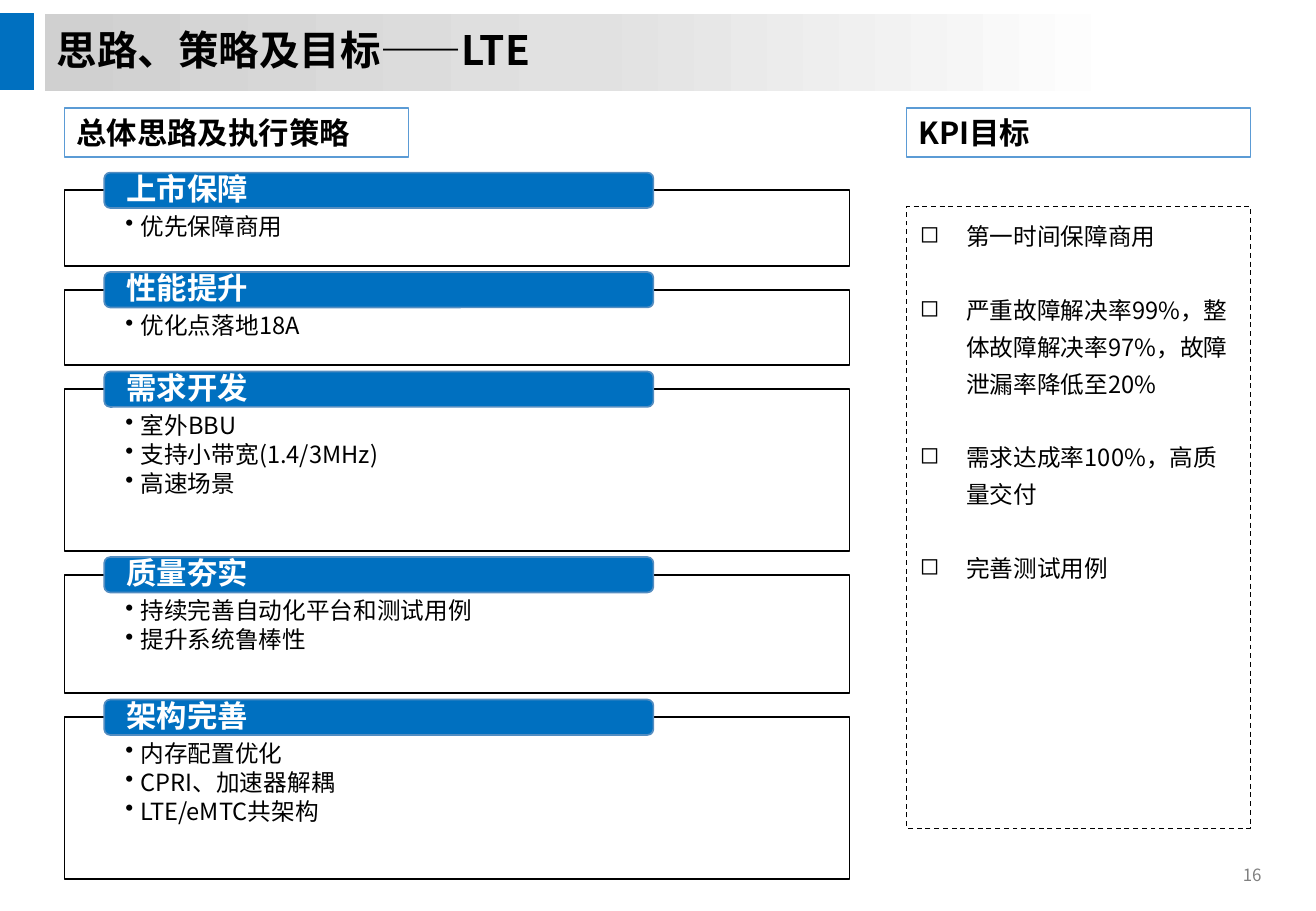
from copy import deepcopy

from lxml import etree
from pptx import Presentation
from pptx.dml.color import RGBColor
from pptx.enum.dml import MSO_LINE
from pptx.enum.shapes import MSO_SHAPE
from pptx.enum.text import MSO_ANCHOR, MSO_AUTO_SIZE, PP_ALIGN
from pptx.oxml.ns import qn
from pptx.util import Cm, Pt

RECTANGLE = MSO_SHAPE.RECTANGLE
ROUNDED = MSO_SHAPE.ROUNDED_RECTANGLE
DASH = MSO_LINE.DASH
TOP = MSO_ANCHOR.TOP
MIDDLE = MSO_ANCHOR.MIDDLE
LEFT = PP_ALIGN.LEFT
NO_AUTOFIT = MSO_AUTO_SIZE.NONE

FONT = "Noto Sans CJK SC"
COLORS = {
    "black": "000000",
    "white": "FFFFFF",
    "blue": "0070C0",
    "tab_edge": "538DC1",
    "heading_edge": "5B9BD5",
    "number": "808080",
}
TITLE_GRADIENT = [(0, "D0D0D0"), (0.5, "E1E1E1"), (1, "FFFFFF")]

STRATEGIES = [
    ("上市保障", ["优先保障商用"]),
    ("性能提升", ["优化点落地18A"]),
    ("需求开发", ["室外BBU", "支持小带宽(1.4/3MHz)", "高速场景"]),
    ("质量夯实", ["持续完善自动化平台和测试用例", "提升系统鲁棒性"]),
    ("架构完善", ["内存配置优化", "CPRI、加速器解耦", "LTE/eMTC共架构"]),
]
TARGETS = [
    "第一时间保障商用",
    "严重故障解决率99%，整体故障解决率97%，故障泄漏率降低至20%",
    "需求达成率100%，高质量交付",
    "完善测试用例",
]

STRATEGY_LEFT = 1.35
TARGET_LEFT = 18.95
COLUMN_WIDTH = 7.19
PANEL_TOP = 3.98
PANEL_GAP = 0.5
PANEL_BASE = 0.68
BULLET_HEIGHT = 0.9
TAB_HEIGHT = 0.74


def write_text(shape, lines, size=14, color="black", bold=False, anchor=TOP, insets=(0.25, 0.13),
               line_spacing=1.0, space_after=0, bullet=None, indent=0, wrap=True):
    frame = shape.text_frame
    frame.word_wrap = wrap
    frame.auto_size = NO_AUTOFIT
    frame.vertical_anchor = anchor
    frame.margin_left = frame.margin_right = Cm(insets[0])
    frame.margin_top = frame.margin_bottom = Cm(insets[1])
    for index, line in enumerate(lines):
        paragraph = frame.paragraphs[0] if index == 0 else frame.add_paragraph()
        paragraph.alignment = LEFT
        paragraph.line_spacing = line_spacing
        paragraph.space_before = Pt(0)
        paragraph.space_after = Pt(space_after)
        if bullet:
            properties = paragraph._p.get_or_add_pPr()
            properties.set("marL", str(Cm(indent)))
            properties.set("indent", str(-Cm(indent)))
            etree.SubElement(properties, qn("a:buChar")).set("char", bullet)
        run = paragraph.add_run()
        run.text = line
        run.font.name = FONT
        run.font.size = Pt(size)
        run.font.bold = bold
        run.font.color.rgb = RGBColor.from_string(COLORS[color])
        east_asian = etree.SubElement(run._r.get_or_add_rPr(), qn("a:ea"))
        east_asian.set("typeface", FONT)


class SlideBuilder:
    def __init__(self, presentation):
        self.slide = presentation.slides.add_slide(presentation.slide_layouts[5])

    def title(self, text, left, top, width, height):
        shape = self.slide.shapes.title
        shape.left, shape.top, shape.width, shape.height = map(Cm, (left, top, width, height))
        shape.fill.gradient()
        shape.fill.gradient_angle = 0
        stop_list = shape._element.spPr.find(".//" + qn("a:gsLst"))
        stop_list.insert(1, deepcopy(stop_list[0]))
        for stop, (position, color) in zip(shape.fill.gradient_stops, TITLE_GRADIENT):
            stop.position = position
            stop.color.rgb = RGBColor.from_string(color)
        write_text(shape, [text], size=24, bold=True, anchor=MIDDLE, line_spacing=0.9)

    def box(self, left, top, width, height, kind=RECTANGLE, fill=None, edge="black",
            edge_width=1, dash=None):
        shape = self.slide.shapes.add_shape(kind, Cm(left), Cm(top), Cm(width), Cm(height))
        shape.shadow.inherit = False
        if fill:
            shape.fill.solid()
            shape.fill.fore_color.rgb = RGBColor.from_string(COLORS[fill])
        else:
            shape.fill.background()
        shape.line.color.rgb = RGBColor.from_string(COLORS[edge])
        shape.line.width = Pt(edge_width)
        if dash:
            shape.line.dash_style = dash
        return shape

    def heading(self, text, left):
        shape = self.box(left, 2.26, COLUMN_WIDTH, 1.02, fill="white", edge="heading_edge")
        write_text(shape, [text], size=18, bold=True)

    def panel(self, name, bullets, top, height):
        panel = self.box(STRATEGY_LEFT, top, 16.41, height)
        write_text(panel, bullets, insets=(1.27, 0.51), line_spacing=0.9, space_after=2.1,
                   bullet="•", indent=0.32)
        tab = self.box(STRATEGY_LEFT + 0.83, top - TAB_HEIGHT / 2, 11.48, TAB_HEIGHT,
                       kind=ROUNDED, fill="blue", edge="tab_edge")
        write_text(tab, [name], size=18, color="white", bold=True, anchor=MIDDLE,
                   insets=(0.43, 0), line_spacing=0.9, space_after=6.3)

    def targets(self, lines):
        shape = self.box(TARGET_LEFT, 4.32, COLUMN_WIDTH, 13, edge_width=0.75, dash=DASH)
        write_text(shape, lines, insets=(0.28, 0.15), line_spacing=1.3, space_after=21.8,
                   bullet="◻", indent=0.97)

    def page_number(self, number):
        shape = self.slide.shapes.add_textbox(Cm(25.73), Cm(17.96), Cm(0.99), Cm(0.69))
        write_text(shape, [number], size=10, color="number", wrap=False)


def main():
    presentation = Presentation()
    presentation.slide_width = Cm(27.51)
    presentation.slide_height = Cm(19.05)
    builder = SlideBuilder(presentation)

    builder.page_number("16")
    builder.box(-0.08, 0.28, 0.79, 1.6, fill="blue", edge="blue", edge_width=0.75)
    builder.title("思路、策略及目标——LTE", 0.94, 0.3, 22.63, 1.6)

    top = PANEL_TOP
    for name, bullets in STRATEGIES:
        height = PANEL_BASE + BULLET_HEIGHT * len(bullets)
        builder.panel(name, bullets, top, height)
        top += height + PANEL_GAP

    builder.targets(TARGETS)
    builder.heading("总体思路及执行策略", STRATEGY_LEFT)
    builder.heading("KPI目标", TARGET_LEFT)
    presentation.save("out.pptx")


if __name__ == "__main__":
    main()
